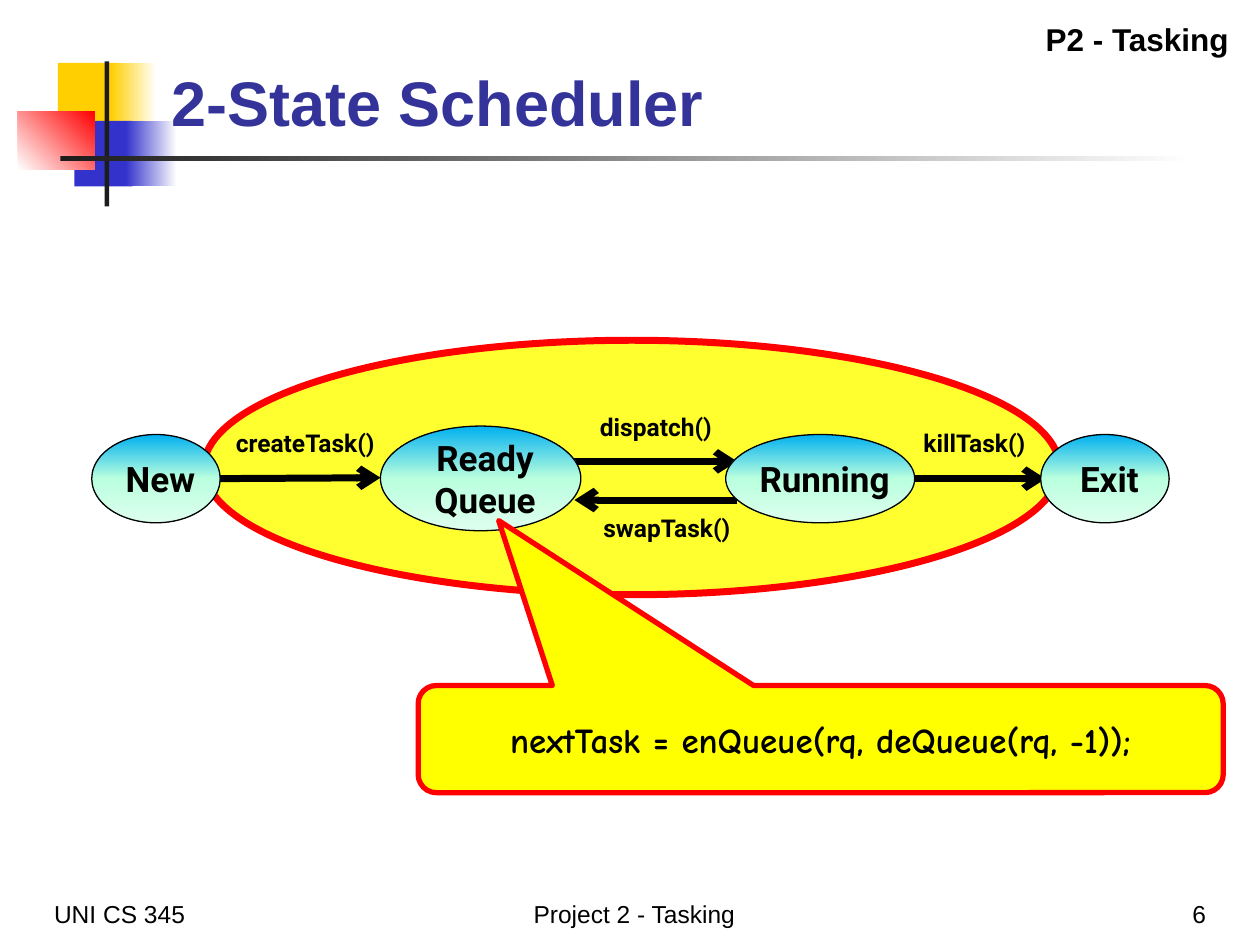
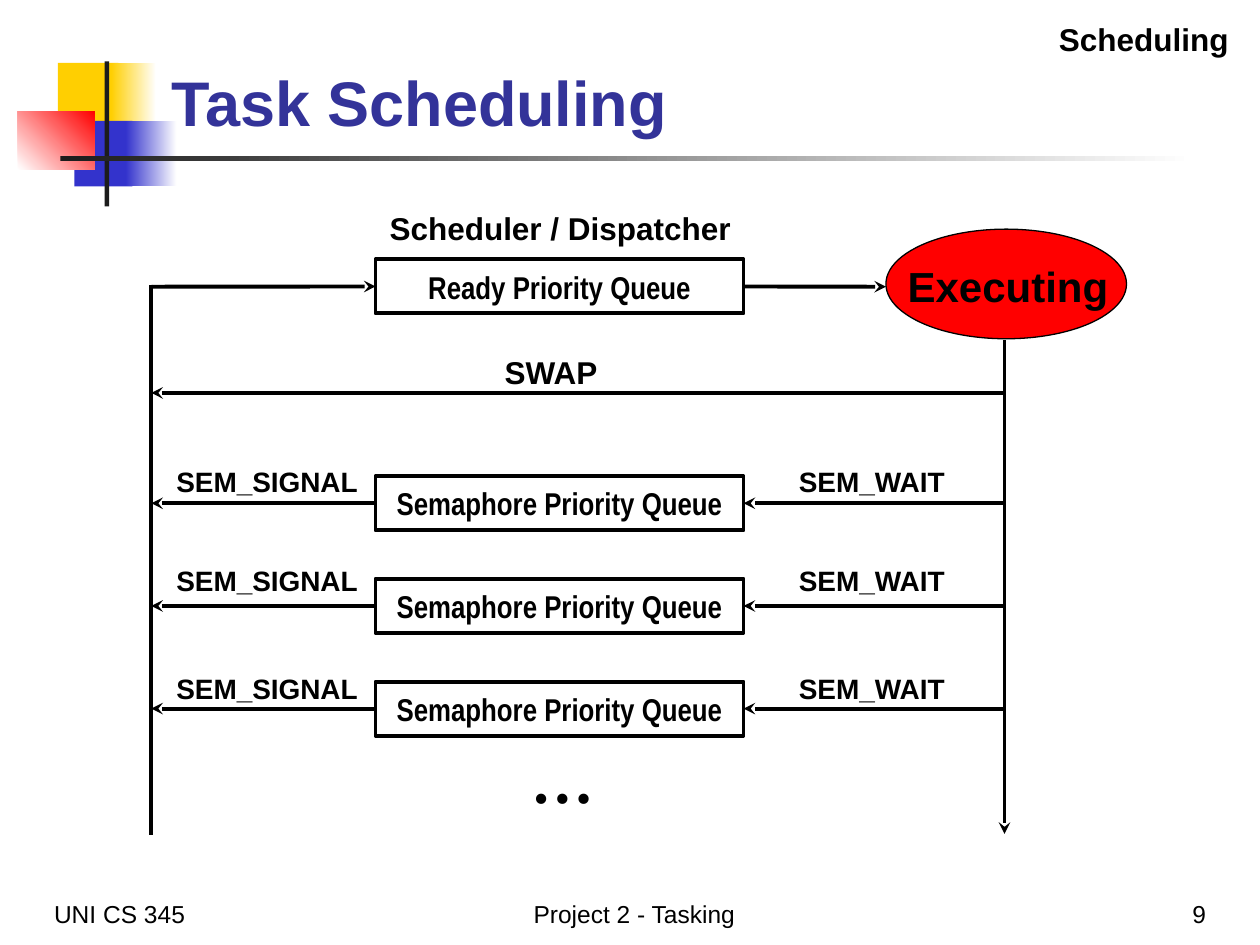
from lxml import etree
from pptx import Presentation
from pptx.dml.color import RGBColor
from pptx.enum.shapes import MSO_CONNECTOR, MSO_SHAPE
from pptx.enum.text import MSO_ANCHOR, PP_ALIGN
from pptx.oxml.ns import qn
from pptx.util import Cm, Pt

RECT, OVAL = MSO_SHAPE.RECTANGLE, MSO_SHAPE.OVAL
CALLOUT = MSO_SHAPE.ROUNDED_RECTANGULAR_CALLOUT
STRAIGHT = MSO_CONNECTOR.STRAIGHT
LEFT, CENTER, RIGHT = PP_ALIGN.LEFT, PP_ALIGN.CENTER, PP_ALIGN.RIGHT
TOP, MIDDLE, BOTTOM = MSO_ANCHOR.TOP, MSO_ANCHOR.MIDDLE, MSO_ANCHOR.BOTTOM
SIDE_LEFT, SIDE_RIGHT = 1, 3

COLORS = {
    "black": "000000", "white": "FFFFFF", "ink": "1C1C1C", "title": "333399",
    "gold": "FFCF01", "blue": "3333CC", "red": "FF0000", "yellow": "FFFF00",
    "sky": "00B0F0", "mint": "BAFFDE", "pale": "DDFFEE",
}
STATE_FILL = (90, "sky", "mint", "pale")
BANDS = [
    ((1.17, 1.27, 1.22, 1.32), "gold"),
    ((2.24, 1.27, 0.91, 1.32), (0, "gold", "white")),
    ((1.5, 2.44, 1.17, 1.32), "blue"),
    ((2.54, 2.44, 1.02, 1.32), (0, "blue", "white")),
    ((0.36, 2.24, 1.55, 1.17), (315, "white", "red")),
    ((2.11, 1.24, 0.09, 2.92), "ink"),
    ((1.22, 3.15, 22.86, 0.09), (0, "ink", "white")),
]


class Deck:
    font = "Arial"

    def __init__(self):
        self.prs = Presentation()
        self.prs.slide_width, self.prs.slide_height = Cm(25.4), Cm(19.05)
        self.s = None

    def slide(self, title, header, number):
        self.s = self.prs.slides.add_slide(self.prs.slide_layouts[5])
        for box, fill in BANDS:
            self.shape(RECT, box, fill)
        sp = self.s.shapes.title
        self.s.shapes._spTree.append(sp._element)
        sp.left, sp.top, sp.width, sp.height = map(Cm, (3.2, 0.53, 21.64, 2.41))
        self.put_text(sp, title, 36, color="title", align=LEFT, anchor=BOTTOM)
        footers = [(0.84, 5.28, "UNI CS 345", LEFT),
                   (5.97, 13.64, "Project 2 - Tasking", CENTER),
                   (19.28, 5.28, number, RIGHT)]
        for x, w, text, align in footers:
            self.text((x, 17.58, w, 1.27), text, 14, bold=False,
                      align=align, anchor=BOTTOM)
        self.text((15.19, 0.28, 9.83, 1.02), header, 18, align=RIGHT)

    def put_text(self, sp, text, size, font=None, color="black", bold=True,
                 align=CENTER, anchor=TOP):
        tf = sp.text_frame
        tf.word_wrap = True
        tf.vertical_anchor = anchor
        for i, line in enumerate(text.split("\n")):
            p = tf.add_paragraph() if i else tf.paragraphs[0]
            p.alignment = align
            r = p.add_run()
            r.text = line
            r.font.name = font or self.font
            r.font.size = Pt(size)
            r.font.bold = bold
            r.font.color.rgb = RGBColor.from_string(COLORS[color])

    def text(self, box, text, size, **style):
        self.put_text(self.s.shapes.add_textbox(*map(Cm, box)), text, size, **style)

    def gradient(self, sp, angle, *names):
        sp.fill.background()
        grad = etree.Element(qn("a:gradFill"), rotWithShape="1")
        stops = etree.SubElement(grad, qn("a:gsLst"))
        for i, name in enumerate(names):
            pos = 100000 * i // (len(names) - 1)
            gs = etree.SubElement(stops, qn("a:gs"), pos=str(pos))
            etree.SubElement(gs, qn("a:srgbClr"), val=COLORS[name])
        etree.SubElement(grad, qn("a:lin"), ang=str(angle * 60000), scaled="0")
        spPr = sp._element.spPr
        spPr.replace(spPr.find(qn("a:noFill")), grad)

    def shape(self, kind, box, fill=None, line=None, width=0.75, alpha=None):
        sp = self.s.shapes.add_shape(kind, *map(Cm, box))
        sp.shadow.inherit = False
        if fill is None:
            sp.fill.background()
        elif isinstance(fill, tuple):
            self.gradient(sp, *fill)
        else:
            sp.fill.solid()
            sp.fill.fore_color.rgb = RGBColor.from_string(COLORS[fill])
        if alpha:
            clr = sp._element.spPr.find(qn("a:solidFill")).find(qn("a:srgbClr"))
            etree.SubElement(clr, qn("a:alpha"), val=str(alpha * 1000))
        if line:
            sp.line.color.rgb = RGBColor.from_string(COLORS[line])
            sp.line.width = Pt(width)
        else:
            sp.line.fill.background()
        return sp

    def state(self, box, name):
        x, y, w, h = box
        self.shape(OVAL, box, STATE_FILL, "black")
        text_h = 0.28 + 0.84 * len(name.split("\n"))
        self.text((x + 0.03, y + (h - text_h) / 2, w + 0.12, text_h),
                  name, 20, font="Roboto")

    def queue(self, y, name):
        sp = self.shape(RECT, (7.57, y, 7.42, 1.09), line="black", width=2.25)
        self.put_text(sp, name, 18, font="Arial Narrow", anchor=MIDDLE)
        return sp

    def line(self, start, end, width=2.25, head="stealth", begin=None, finish=None):
        c = self.s.shapes.add_connector(STRAIGHT, *map(Cm, start + end))
        if begin:
            c.begin_connect(*begin)
        if finish:
            c.end_connect(*finish)
        c.line.color.rgb = RGBColor.from_string(COLORS["black"])
        c.line.width = Pt(width)
        spPr = c._element.spPr
        if head:
            etree.SubElement(spPr.find(qn("a:ln")), qn("a:tailEnd"), type=head)
        etree.SubElement(spPr, qn("a:effectLst"))


def two_state_scheduler(d):
    d.slide("2-State Scheduler", "P2 - Tasking", "6")
    d.shape(OVAL, (4.11, 6.86, 17.25, 5.13), "yellow", "red", 4, alpha=81)
    transitions = [
        ("createTask()", (4.11, 8.51), (4.11, 9.65), (7.67, 9.63)),
        ("killTask()", (17.6, 8.51), (18.34, 9.65), (21.08, 9.65)),
        ("dispatch()", (11.18, 8.18), (11.58, 9.3), (14.86, 9.3)),
        ("swapTask()", (11.4, 10.21), (14.86, 10.08), (11.58, 10.08)),
    ]
    for name, corner, start, end in transitions:
        d.line(start, end, 4, "arrow")
        d.text(corner + (4.09, 0.86), name, 14, font="Roboto")
    d.state((1.85, 8.76, 2.59, 1.78), "New")
    d.state((7.67, 8.59, 4.04, 2.11), "Ready\nQueue")
    d.state((14.63, 8.76, 3.81, 1.78), "Running")
    d.state((20.98, 8.76, 2.59, 1.78), "Exit")
    sp = d.shape(CALLOUT, (8.43, 13.82, 16.23, 2.16), "yellow", "red", 3)
    for i, value in enumerate((-0.4, -2.04, 0.17)):
        sp.adjustments[i] = value
    tf = sp.text_frame
    tf.margin_left = tf.margin_right = tf.margin_top = tf.margin_bottom = 0
    d.put_text(sp, "nextTask = enQueue(rq, deQueue(rq, -1));", 20,
               font="Comic Neue", anchor=MIDDLE)


def task_scheduling(d):
    d.slide("Task Scheduling", "Scheduling", "9")
    bus_left, bus_right, ready_y, swap_y = 3.05, 20.25, 5.78, 7.92
    ready = d.queue(5.23, "Ready Priority Queue")
    d.line((bus_left, ready_y), (7.57, ready_y), finish=(ready, SIDE_LEFT))
    d.line((14.99, ready_y), (17.86, ready_y), begin=(ready, SIDE_RIGHT))
    d.line((bus_left, 5.74), (bus_left, 16.84), head=None)
    d.line((bus_right, 6.86), (bus_right, 16.81))
    d.line((bus_right, swap_y), (bus_left, swap_y))
    for i, label_y in enumerate((9.25, 11.23, 13.41)):
        y = 9.6 + 2.07 * i
        mid = y + 1.09 / 2
        sem = d.queue(y, "Semaphore Priority Queue")
        d.line((7.57, mid), (bus_left, mid), begin=(sem, SIDE_LEFT))
        d.line((bus_right, mid), (14.99, mid), finish=(sem, SIDE_RIGHT))
        for x, name in ((bus_left, "SEM_SIGNAL"), (15.24, "SEM_WAIT")):
            d.text((x, label_y, 4.67, 0.94), name, 16)
    d.text((8.56, 14.81, 5.56, 1.78), "…", 36, font="Times New Roman")
    d.text((9.22, 6.99, 3.78, 1.02), "SWAP", 18)
    d.text((7.42, 4.09, 7.75, 1.02), "Scheduler / Dispatcher", 18)
    d.shape(OVAL, (17.86, 4.62, 4.85, 2.21), "red", "black")
    d.text((17.93, 5.13, 4.78, 1.27), "Executing", 24)


def main():
    d = Deck()
    two_state_scheduler(d)
    task_scheduling(d)
    d.prs.save("out.pptx")


if __name__ == "__main__":
    main()
